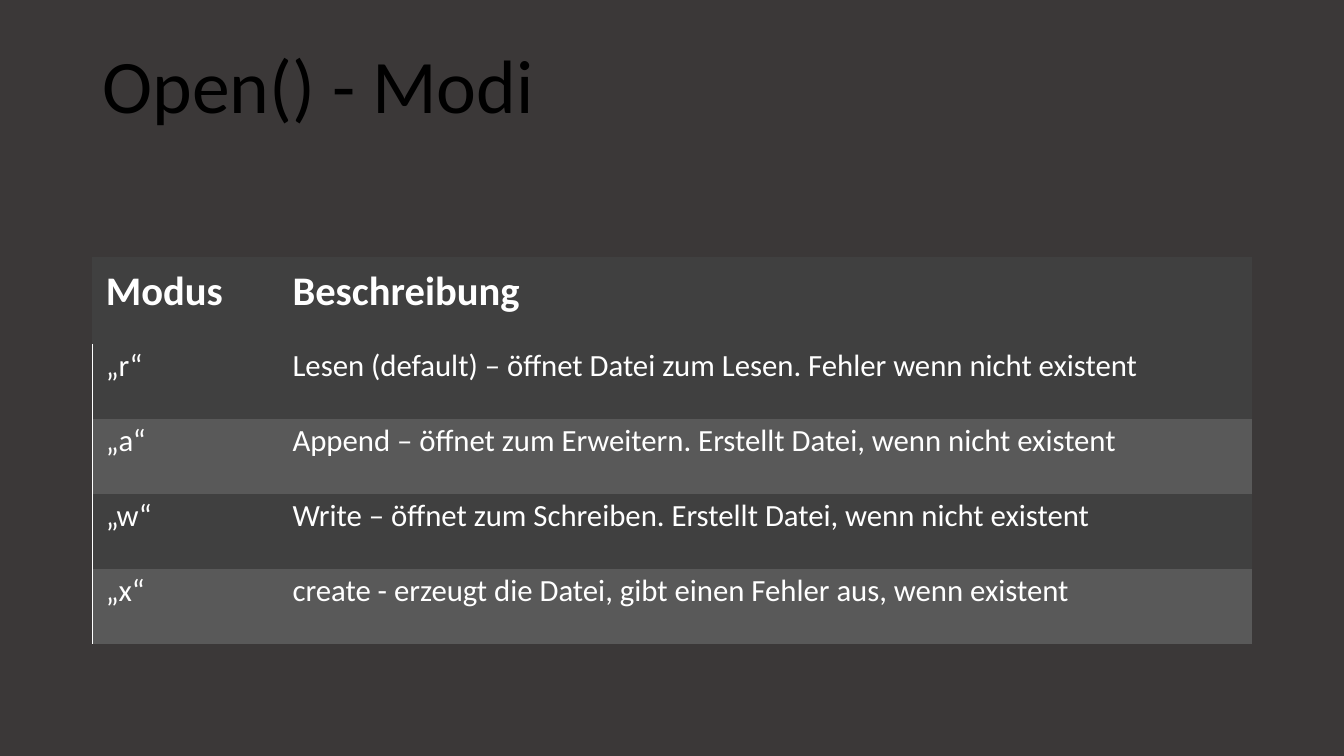
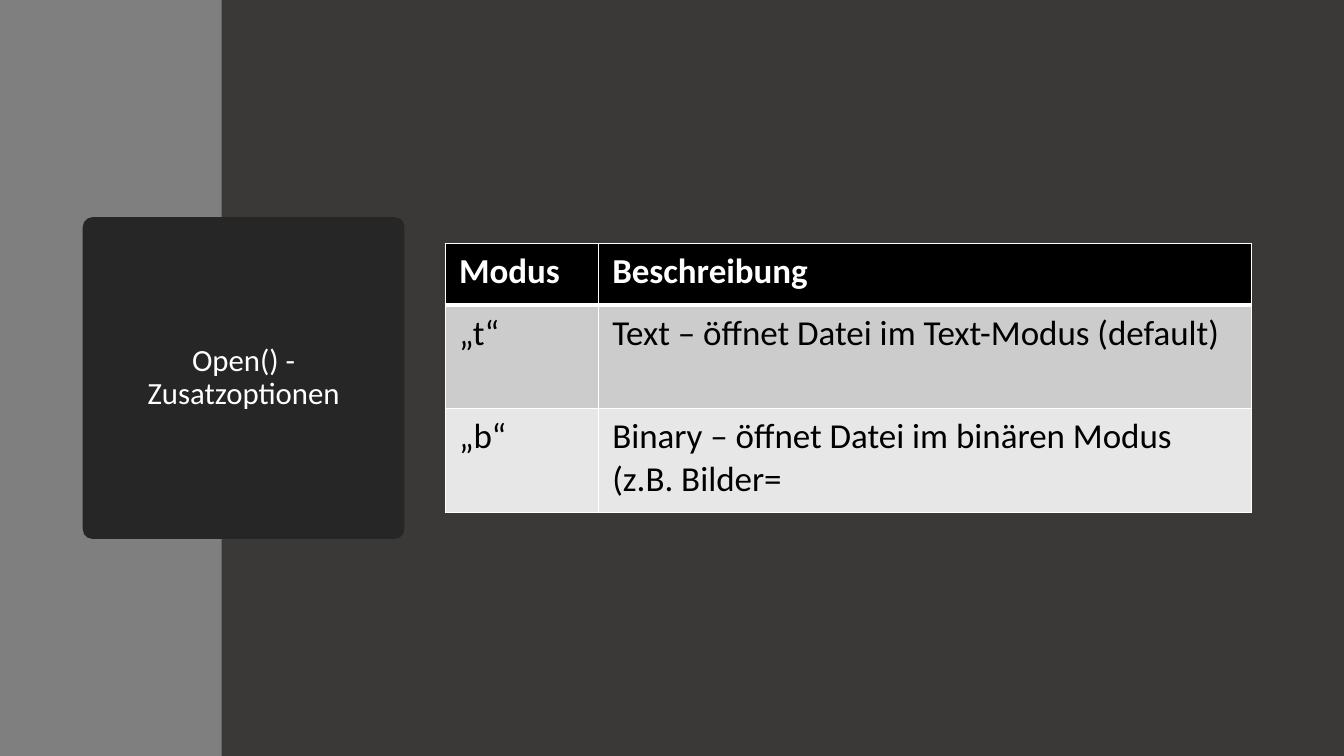
import lxml.etree
import pptx
import pptx.dml.color
import pptx.enum.shapes
import pptx.enum.text
import pptx.oxml.ns
import pptx.util

Pt = pptx.util.Pt
qn = pptx.oxml.ns.qn
ANCHOR = pptx.enum.text.MSO_ANCHOR
ALIGN = pptx.enum.text.PP_ALIGN
SHAPE = pptx.enum.shapes.MSO_SHAPE


class Deck:
    FONT = "Calibri"
    COLORS = {
        "page": "3B3838", "band": "7F7F7F", "card": "262626",
        "black": "000000", "white": "FFFFFF",
        "dark_row": "404040", "mid_row": "595959",
        "gray_row": "CCCCCC", "light_row": "E7E7E7",
    }

    def __init__(self):
        self.prs = pptx.Presentation()
        self.prs.slide_width, self.prs.slide_height = Pt(960), Pt(540)
        self.paint(self.prs.slide_master.background.fill, "page")
        self.s = None

    def rgb(self, name):
        return pptx.dml.color.RGBColor.from_string(self.COLORS[name])

    def paint(self, fill, color):
        fill.solid()
        fill.fore_color.rgb = self.rgb(color)

    def new_slide(self):
        self.s = self.prs.slides.add_slide(self.prs.slide_layouts[6])

    def set_text(self, tf, text, size, color, bold=False, align=ALIGN.LEFT, spacing=None):
        p = tf.paragraphs[0]
        p.text = text
        p.alignment = align
        p.line_spacing = spacing
        p.font.name, p.font.size, p.font.bold = self.FONT, Pt(size), bold
        p.font.color.rgb = self.rgb(color)

    def title(self, text, box):
        tf = self.s.shapes.add_textbox(*map(Pt, box)).text_frame
        tf.word_wrap = True
        tf.vertical_anchor = ANCHOR.BOTTOM
        self.set_text(tf, text, 54, "black", spacing=0.9)

    def block(self, kind, box, color):
        sp = self.s.shapes.add_shape(kind, *map(Pt, box))
        sp.shadow.inherit = False
        self.paint(sp.fill, color)
        sp.line.fill.background()
        return sp

    def title_card(self, text, box):
        sp = self.block(SHAPE.ROUNDED_RECTANGLE, box, "card")
        sp.adjustments[0] = 0.03
        tf = sp.text_frame
        tf.word_wrap = True
        tf.vertical_anchor = ANCHOR.MIDDLE
        tf.margin_left = tf.margin_right = Pt(30)
        self.set_text(tf, text, 22, "white", align=ALIGN.CENTER, spacing=0.9)

    def borders(self, cell, widths):
        tcPr = cell._tc.get_or_add_tcPr()
        for side, width in zip("LRTB", widths):
            ln = lxml.etree.SubElement(tcPr, qn(f"a:ln{side}"), w=str(Pt(width)))
            if width:
                fill = lxml.etree.SubElement(ln, qn("a:solidFill"))
                lxml.etree.SubElement(fill, qn("a:srgbClr"), val=self.COLORS["white"])
            else:
                lxml.etree.SubElement(ln, qn("a:noFill"))

    def table(self, rows, pos, cols, heights, fills, margins, sizes,
              body_color, edges, header_anchor=ANCHOR.TOP):
        box = (*pos, sum(cols), sum(heights))
        tbl = self.s.shapes.add_table(len(rows), len(cols), *map(Pt, box)).table
        tbl.first_row = tbl.horz_banding = False
        for column, width in zip(tbl.columns, cols):
            column.width = Pt(width)
        for i, texts in enumerate(rows):
            header = i == 0
            tbl.rows[i].height = Pt(heights[i])
            for j, text in enumerate(texts):
                cell = tbl.cell(i, j)
                self.borders(cell, edges(i, j))
                self.paint(cell.fill, fills[i])
                (cell.margin_left, cell.margin_top,
                 cell.margin_right, cell.margin_bottom) = map(Pt, margins)
                cell.vertical_anchor = header_anchor if header else ANCHOR.TOP
                self.set_text(cell.text_frame, text, sizes[0 if header else 1],
                              "white" if header else body_color, bold=header)


def left_rule(row, col):
    return (1 if row and not col else 0, 0, 0, 0)


def full_grid(row, col):
    return (1, 1, 3 if row == 1 else 1, 3 if row == 0 else 1)


def main():
    deck = Deck()
    header = ("Modus", "Beschreibung")

    deck.new_slide()
    deck.title("Open() - Modi", (66, 23, 828, 73.5))
    modes = [
        header,
        ("„r“", "Lesen (default) – öffnet Datei zum Lesen. Fehler wenn nicht existent"),
        ("„a“", "Append – öffnet zum Erweitern. Erstellt Datei, wenn nicht existent"),
        ("„w“", "Write – öffnet zum Schreiben. Erstellt Datei, wenn nicht existent"),
        ("„x“", "create - erzeugt die Datei, gibt einen Fehler aus, wenn existent"),
    ]
    deck.table(modes, (66, 183.6), (133.4, 694.6), [62] + [53.6] * 4,
               ["dark_row"] + ["dark_row", "mid_row"] * 2,
               (9.6, 2.8, 13, 19.4), (29, 22), "white", left_rule, ANCHOR.BOTTOM)

    deck.new_slide()
    deck.block(SHAPE.RECTANGLE, (0, 0, 158.4, 540), "band")
    deck.title_card("Open() - Zusatzoptionen", (59.1, 155.1, 229.8, 229.8))
    options = [
        header,
        ("„t“", "Text – öffnet Datei im Text-Modus (default)"),
        ("„b“", "Binary – öffnet Datei im binären Modus (z.B. Bilder="),
    ]
    deck.table(options, (318, 174), (109.4, 466.6), (44, 74, 74),
               ("black", "gray_row", "light_row"),
               (10, 5, 10, 5), (25, 25), "black", full_grid)

    deck.prs.save("out.pptx")


if __name__ == "__main__":
    main()
